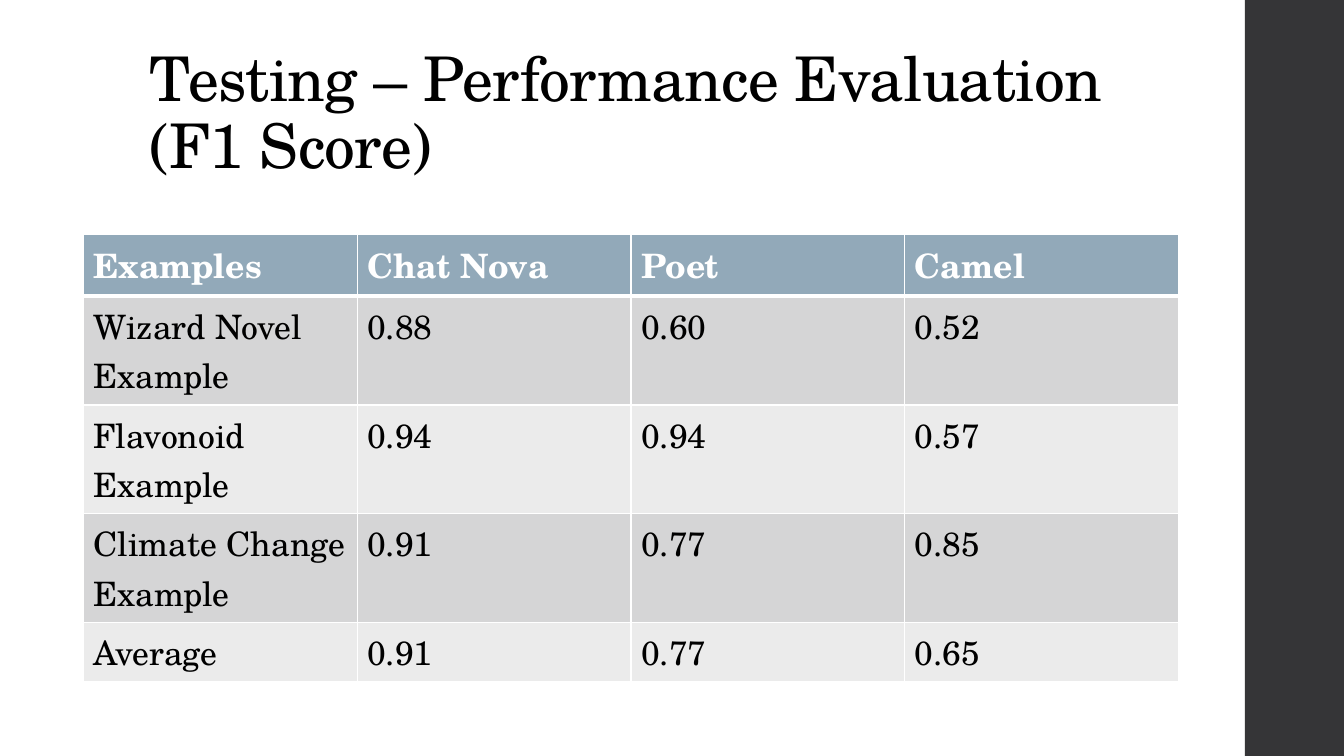
from pptx import Presentation
from pptx.dml.color import RGBColor as Rgb
from pptx.enum.shapes import MSO_SHAPE as Preset
from pptx.enum.text import MSO_ANCHOR as Anchor, MSO_AUTO_SIZE as AutoSize, PP_ALIGN as Align
from pptx.oxml import parse_xml
from pptx.oxml.ns import nsdecls
from pptx.util import Cm, Pt

THEME = {
    "font": "TeX Gyre Schola",
    "title_size": Pt(44), "table_size": Pt(24),
    "text": Rgb.from_string("000000"), "header_text": Rgb.from_string("FFFFFF"),
    "header": Rgb.from_string("92A9B9"), "sidebar": Rgb.from_string("353537"),
    "bands": [Rgb.from_string("D5D5D6"), Rgb.from_string("EBEBEB")],
    "border": "FFFFFF",
}
SCORES = [
    ["Examples", "Chat Nova", "Poet", "Camel"],
    ["Wizard Novel Example", "0.88", "0.60", "0.52"],
    ["Flavonoid Example", "0.94", "0.94", "0.57"],
    ["Climate Change Example", "0.91", "0.77", "0.85"],
    ["Average", "0.91", "0.77", "0.65"],
]
ROW_HEIGHTS = [Cm(1.53), Cm(2.74), Cm(2.74), Cm(2.74), Cm(1.48)]
COLUMN_WIDTH = Cm(6.9)


def write(text_frame, text, line_spacing, **font_format):
    paragraph = text_frame.paragraphs[0]
    paragraph.alignment, paragraph.line_spacing = Align.LEFT, line_spacing
    run = paragraph.add_run()
    run.text = text
    run.font.color.rgb = font_format.pop("color")
    for name, value in font_format.items():
        setattr(run.font, name, value)
    return run


def add_borders(cell, top_width, bottom_width):
    properties = cell._tc.get_or_add_tcPr()
    for side, width in {"L": Pt(1), "R": Pt(1), "T": top_width, "B": bottom_width}.items():
        properties.append(parse_xml(
            f'<a:ln{side} {nsdecls("a")} w="{width}"><a:solidFill>'
            f'<a:srgbClr val="{THEME["border"]}"/></a:solidFill></a:ln{side}>'))


presentation = Presentation()
presentation.slide_width, presentation.slide_height = Cm(33.87), Cm(19.05)
slide = presentation.slides.add_slide(presentation.slide_layouts[5])

title = slide.shapes.title
title_box = {"left": Cm(3.52), "top": Cm(1.02), "width": Cm(26.92), "height": Cm(3.68)}
for name, value in title_box.items():
    setattr(title, name, value)
title_frame = title.text_frame
frame_format = {"vertical_anchor": Anchor.BOTTOM, "word_wrap": True, "auto_size": AutoSize.NONE}
for name, value in frame_format.items():
    setattr(title_frame, name, value)
title_run = write(title_frame, "Testing – Performance Evaluation (F1 Score)", 0.9,
                  name=THEME["font"], size=THEME["title_size"], color=THEME["text"])
title_run.font._element.set("spc", "-50")

sidebar = slide.shapes.add_shape(Preset.RECTANGLE, Cm(31.37), 0, Cm(2.5), presentation.slide_height)
sidebar.shadow.inherit = False
sidebar.fill.solid()
sidebar.fill.fore_color.rgb = THEME["sidebar"]
sidebar.line.fill.background()

score_table = slide.shapes.add_table(
    len(SCORES), len(SCORES[0]), Cm(2.1), Cm(5.9),
    COLUMN_WIDTH * len(SCORES[0]), sum(ROW_HEIGHTS)).table
for column in score_table.columns:
    column.width = COLUMN_WIDTH
for row_index, (row_texts, height) in enumerate(zip(SCORES, ROW_HEIGHTS)):
    is_header = row_index == 0
    score_table.rows[row_index].height = height
    for column_index, text in enumerate(row_texts):
        cell = score_table.cell(row_index, column_index)
        cell.vertical_anchor = Anchor.BOTTOM if is_header else Anchor.TOP
        add_borders(cell, Pt(3) if row_index == 1 else Pt(1), Pt(3) if is_header else Pt(1))
        cell.fill.solid()
        cell.fill.fore_color.rgb = THEME["header"] if is_header else THEME["bands"][(row_index - 1) % 2]
        write(cell.text_frame, text, 1.0, name=THEME["font"], size=THEME["table_size"],
              bold=is_header, color=THEME["header_text" if is_header else "text"])

presentation.save("out.pptx")
